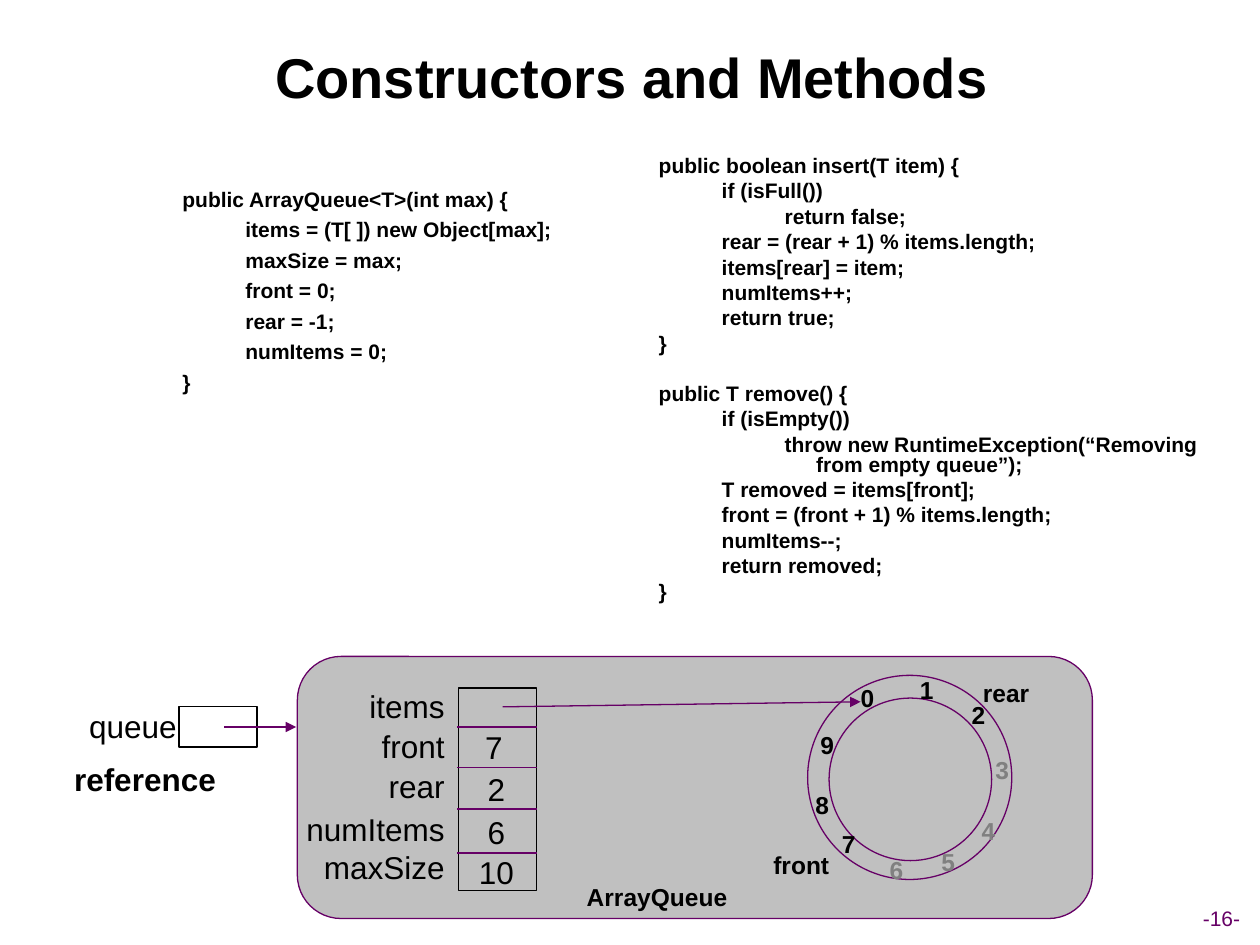
from lxml.etree import SubElement
from pptx import Presentation
from pptx.dml.color import RGBColor
from pptx.enum.shapes import MSO_CONNECTOR, MSO_SHAPE
from pptx.enum.text import MSO_ANCHOR, PP_ALIGN
from pptx.oxml.ns import qn
from pptx.util import Inches, Pt

COLORS = {"text": "000000", "accent": "660066", "panel": "C0C0C0", "unused": "808080"}

presentation = Presentation()
presentation.slide_width = Inches(10)
presentation.slide_height = Inches(7.5)
slide = presentation.slides.add_slide(presentation.slide_layouts[6])


def add_label(text, left, top, width, height, size=18, bold=False,
              color="text", align=PP_ALIGN.CENTER):
    box = slide.shapes.add_textbox(Inches(left), Inches(top), Inches(width), Inches(height))
    frame = box.text_frame
    frame.word_wrap = False
    frame.margin_left = frame.margin_right = 0
    frame.vertical_anchor = MSO_ANCHOR.MIDDLE
    paragraph = frame.paragraphs[0]
    paragraph.text = text
    paragraph.alignment = align
    paragraph.font.name = "Arial"
    paragraph.font.size = Pt(size)
    paragraph.font.bold = bold
    paragraph.font.color.rgb = RGBColor.from_string(COLORS[color])


def add_line(x1, y1, x2, y2, arrow=False):
    line = slide.shapes.add_connector(
        MSO_CONNECTOR.STRAIGHT, Inches(x1), Inches(y1), Inches(x2), Inches(y2))
    line.line.color.rgb = RGBColor.from_string(COLORS["accent"])
    line.line.width = Pt(0.75)
    if arrow:
        SubElement(line.line._get_or_add_ln(), qn("a:tailEnd"), type="triangle")
    SubElement(line._element.spPr, qn("a:effectLst"))


add_label("-16-", 9.16, 7.14, 1.07, 0.3, size=12, color="accent")
add_label("Constructors and Methods", 0.38, 0.13, 9.27, 0.95, size=32, bold=True)

# Code listings: (indent level, text)
constructor = [
    (0, "public ArrayQueue<T>(int max) {"),
    (1, "items = (T[ ]) new Object[max];"),
    (1, "maxSize = max;"),
    (1, "front = 0;"),
    (1, "rear = -1;"),
    (1, "numItems = 0;"),
    (0, "}"),
]
methods = [
    (0, "public boolean insert(T item) {"),
    (1, "if (isFull())"),
    (2, "return false;"),
    (1, "rear = (rear + 1) % items.length;"),
    (1, "items[rear] = item;"),
    (1, "numItems++;"),
    (1, "return true;"),
    (0, "}"),
    (0, "public T remove() {"),
    (1, "if (isEmpty())"),
    (2, "throw new RuntimeException(“Removing from empty queue”);"),
    (1, "T removed = items[front];"),
    (1, "front = (front + 1) % items.length;"),
    (1, "numItems--;"),
    (1, "return removed;"),
    (0, "}"),
]
# (left margin, hanging first line) for each indent level
indents = [(0.81, -0.31), (1.25, -0.25), (1.75, -0.25)]
for code, left, top, width, height, spacing in [
    (constructor, 0.85, 1.43, 3.94, 2.98, 1.0),
    (methods, 4.63, 1.2, 5.37, 3.69, 0.8),
]:
    box = slide.shapes.add_textbox(Inches(left), Inches(top), Inches(width), Inches(height))
    frame = box.text_frame
    frame.word_wrap = True
    for index, (level, text) in enumerate(code):
        paragraph = frame.add_paragraph() if index else frame.paragraphs[0]
        paragraph.text = text
        paragraph.level = level
        paragraph.line_spacing = spacing
        if index:
            starts_method = text.startswith("public")
            paragraph.space_before = Pt(17 if starts_method else 3)
        paragraph.font.name = "Arial"
        paragraph.font.size = Pt(12)
        paragraph.font.bold = True
        paragraph.font.color.rgb = RGBColor.from_string(COLORS["text"])
        margin, hanging = indents[level]
        properties = paragraph._p.get_or_add_pPr()
        properties.set("marL", str(Inches(margin)))
        properties.set("indent", str(Inches(hanging)))

# Object panel, reference cell, field column and the two rings of the array
for kind, left, top, width, height, fill, outline in [
    (MSO_SHAPE.ROUNDED_RECTANGLE, 2.36, 5.21, 6.31, 2.08, "panel", "accent"),
    (MSO_SHAPE.RECTANGLE, 1.42, 5.61, 0.62, 0.32, None, "text"),
    (MSO_SHAPE.RECTANGLE, 3.64, 5.46, 0.62, 1.61, None, "text"),
    (MSO_SHAPE.OVAL, 6.58, 5.54, 1.29, 1.29, None, "accent"),
    (MSO_SHAPE.OVAL, 6.41, 5.36, 1.62, 1.62, None, "accent"),
]:
    shape = slide.shapes.add_shape(kind, Inches(left), Inches(top), Inches(width), Inches(height))
    shape.shadow.inherit = False
    if fill:
        shape.fill.solid()
        shape.fill.fore_color.rgb = RGBColor.from_string(COLORS[fill])
    else:
        shape.fill.background()
    shape.line.color.rgb = RGBColor.from_string(COLORS[outline])
    shape.line.width = Pt(0.75)

for y in (5.77, 6.09, 6.42, 6.77):
    add_line(3.63, y, 4.26, y)
add_line(1.78, 5.77, 2.35, 5.77, arrow=True)
add_line(3.99, 5.61, 6.83, 5.57, arrow=True)

for name, top in [("items", 5.4), ("front", 5.72), ("rear", 6.04),
                  ("numItems", 6.38), ("maxSize", 6.68)]:
    add_label(name, 2.33, top, 1.2, 0.4, align=PP_ALIGN.RIGHT)
for value, left, top in [("7", 3.75, 5.73), ("2", 3.77, 6.06),
                         ("6", 3.77, 6.4), ("10", 3.77, 6.72)]:
    add_label(value, left, top, 0.34, 0.4)

add_label("queue", 0.61, 5.56, 0.89, 0.4)
add_label("reference", 0.49, 5.98, 1.32, 0.4, bold=True)
add_label("ArrayQueue", 4.56, 6.95, 1.31, 0.34, size=14, bold=True)
add_label("rear", 7.7, 5.33, 0.57, 0.34, size=14, bold=True)
add_label("front", 6.04, 6.69, 0.64, 0.34, size=14, bold=True)

# Array indices clockwise around the ring; slots 3 to 6 are empty
index_positions = [(6.73, 5.37), (7.2, 5.3), (7.61, 5.5), (7.8, 5.94), (7.69, 6.42),
                   (7.37, 6.67), (6.96, 6.73), (6.58, 6.53), (6.37, 6.22), (6.41, 5.74)]
for index, (left, top) in enumerate(index_positions):
    color = "unused" if 3 <= index <= 6 else "text"
    add_label(str(index), left, top, 0.31, 0.34, size=14, bold=True, color=color)

presentation.save("out.pptx")
